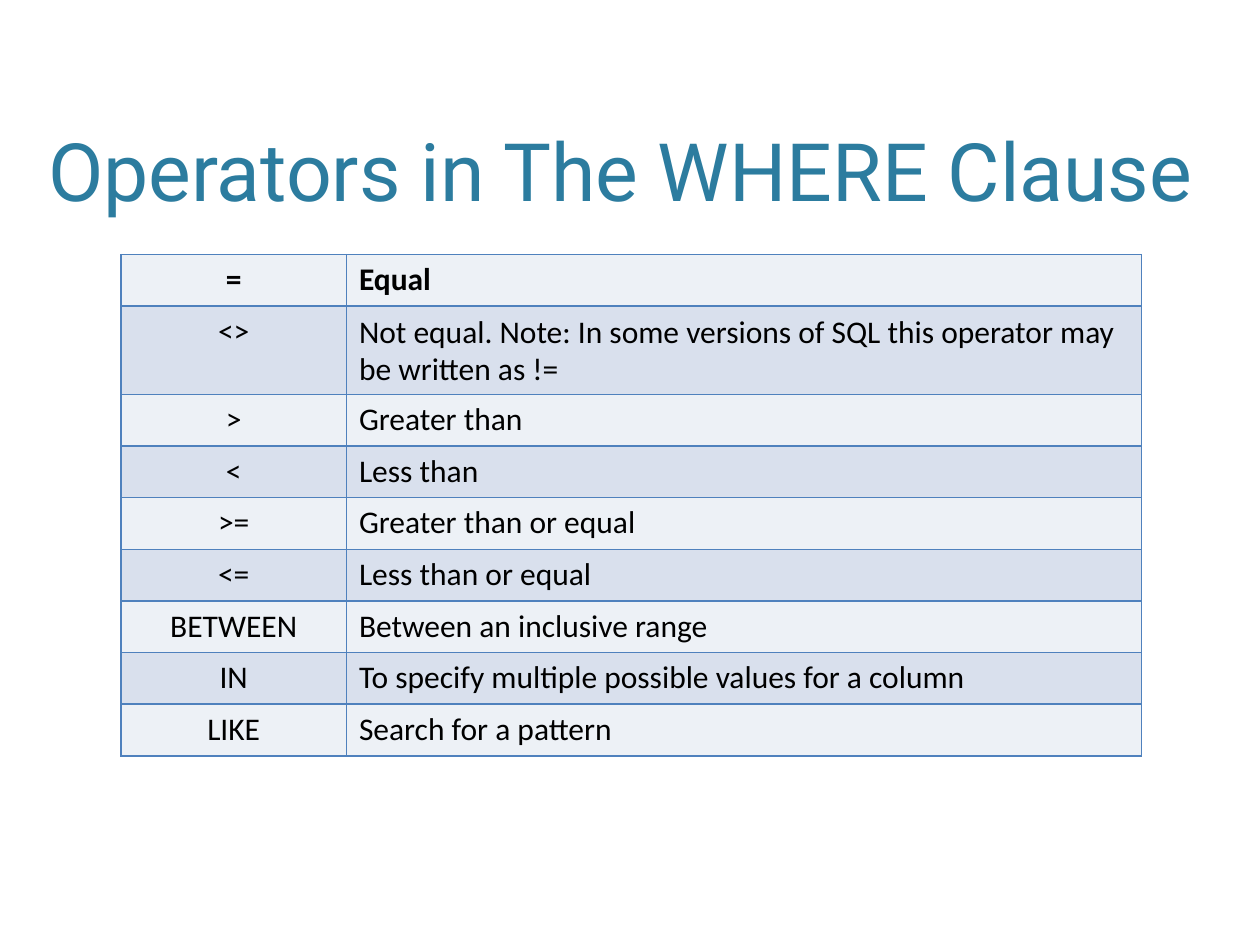
import pptx
import pptx.dml.color
import pptx.enum.text
import pptx.oxml
import pptx.oxml.ns
import pptx.util

Inches = pptx.util.Inches
Pt = pptx.util.Pt
RGBColor = pptx.dml.color.RGBColor
PP_ALIGN = pptx.enum.text.PP_ALIGN
MSO_ANCHOR = pptx.enum.text.MSO_ANCHOR
MSO_AUTO_SIZE = pptx.enum.text.MSO_AUTO_SIZE

TITLE_BLUE = RGBColor(0x2C, 0x7C, 0x9F)
BORDER_BLUE = RGBColor(0x4F, 0x81, 0xBD)
LIGHT_BAND = RGBColor(0xED, 0xF1, 0xF6)
DARK_BAND = RGBColor(0xD9, 0xE0, 0xED)
BLACK = RGBColor(0, 0, 0)

OPERATORS = [
    ("=", "Equal"),
    ("<>", "Not equal. Note: In some versions of SQL this operator may be written as !="),
    (">", "Greater than"),
    ("<", "Less than"),
    (">=", "Greater than or equal"),
    ("<=", "Less than or equal"),
    ("BETWEEN", "Between an inclusive range"),
    ("IN", "To specify multiple possible values for a column"),
    ("LIKE", "Search for a pattern"),
]
NOTE_ROW = 1


class SlideBuilder:
    title_font = "Roboto"
    body_font = "Calibri"
    title_size = Pt(46)
    body_size = Pt(18)
    border_width = Pt(1)

    def __init__(self, slide):
        self.slide = slide

    def add_run(self, paragraph, text, font, size, color, bold=False):
        run = paragraph.add_run()
        run.text = text
        run.font.name = font
        run.font.size = size
        run.font.color.rgb = color
        run.font.bold = bold

    def title(self, text, left, top, width, height):
        heading = self.slide.shapes.title
        heading.left, heading.top = left, top
        heading.width, heading.height = width, height
        frame = heading.text_frame
        frame.word_wrap = True
        frame.auto_size = MSO_AUTO_SIZE.NONE
        frame.vertical_anchor = MSO_ANCHOR.BOTTOM
        frame.margin_left = frame.margin_right = frame.margin_bottom = 0
        frame.margin_top = Inches(0.01)
        paragraph = frame.paragraphs[0]
        paragraph.alignment = PP_ALIGN.CENTER
        self.add_run(paragraph, text, self.title_font, self.title_size, TITLE_BLUE)

    def outline(self, cell):
        """Draw a border on all four sides; call before the cell is filled."""
        properties = cell._tc.get_or_add_tcPr()
        for side in ("lnL", "lnR", "lnT", "lnB"):
            properties.append(pptx.oxml.parse_xml(
                f'<a:{side} {pptx.oxml.ns.nsdecls("a")} w="{self.border_width}">'
                f'<a:solidFill><a:srgbClr val="{BORDER_BLUE}"/></a:solidFill></a:{side}>'))

    def cell(self, cell, text, fill, centred, bold, two_lines):
        self.outline(cell)
        cell.fill.solid()
        cell.fill.fore_color.rgb = fill
        cell.margin_left = 0 if centred else Inches(0.1)
        cell.margin_right = cell.margin_bottom = 0
        cell.margin_top = Inches(0.07 if two_lines else 0.05)
        paragraph = cell.text_frame.paragraphs[0]
        paragraph.alignment = PP_ALIGN.CENTER if centred else PP_ALIGN.LEFT
        paragraph.space_before = Pt(4.8 if two_lines else 3.6)
        if two_lines:
            paragraph.line_spacing = Pt(21)
        self.add_run(paragraph, text, self.body_font, self.body_size, BLACK, bold)

    def operator_table(self, rows, left, top, column_widths, row_heights):
        table = self.slide.shapes.add_table(
            len(rows), len(column_widths), left, top,
            sum(column_widths), sum(row_heights)).table
        table.first_row = table.horz_banding = False
        for column, width in zip(table.columns, column_widths):
            column.width = width
        for r, texts in enumerate(rows):
            table.rows[r].height = row_heights[r]
            for c, text in enumerate(texts):
                self.cell(table.cell(r, c), text,
                          fill=DARK_BAND if r % 2 else LIGHT_BAND,
                          centred=c == 0, bold=r == 0,
                          two_lines=r == NOTE_ROW and c == 1)


def main():
    presentation = pptx.Presentation()
    presentation.slide_width = Inches(10)
    presentation.slide_height = Inches(7.5)
    title_only = presentation.slide_layouts[5]
    builder = SlideBuilder(presentation.slides.add_slide(title_only))
    builder.title("Operators in The WHERE Clause",
                  Inches(0.17), Inches(0.17), Inches(9.5), Inches(1.56))
    row_heights = [Inches(0.7 if r == NOTE_ROW else 0.41) for r in range(len(OPERATORS))]
    builder.operator_table(OPERATORS, Inches(0.96), Inches(2.02),
                           [Inches(1.79), Inches(6.31)], row_heights)
    presentation.save("out.pptx")


if __name__ == "__main__":
    main()
